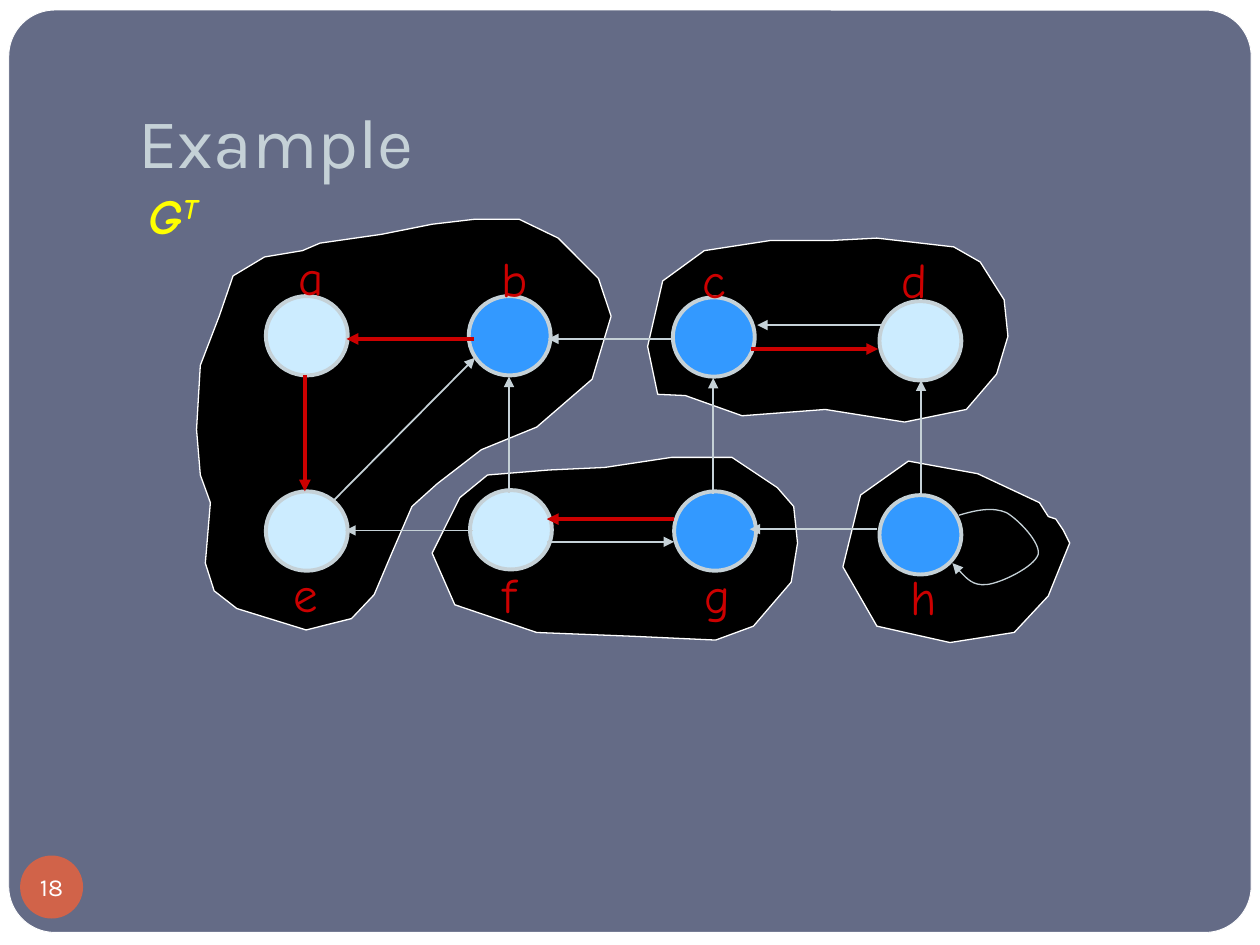
from pptx import Presentation
from pptx import util as u
from pptx.dml.color import RGBColor
from pptx.enum import shapes, text
from pptx.oxml.ns import qn
from lxml import etree

WHITE = RGBColor(0xFF, 0xFF, 0xFF)
BLACK = RGBColor(0, 0, 0)
SLATE = RGBColor(0x64, 0x6B, 0x86)
MIST = RGBColor(0xC5, 0xD1, 0xD7)
RED = RGBColor(0xCC, 0, 0)
PALE = RGBColor(0xCC, 0xEC, 0xFF)
BLUE = RGBColor(0x33, 0x99, 0xFF)
YELLOW = RGBColor(0xFF, 0xFF, 0)
ORANGE = RGBColor(0xD1, 0x63, 0x49)

COLUMNS, ROWS = 100, 75
NODE_SIZE = (6.5, 6.3)

COMPONENTS = {
    "h": [(77.6, 37.6), (72.1, 36.6), (68.3, 39.3), (66.9, 45), (69.6, 49.7),
          (75.4, 51), (80.5, 50.2), (83.2, 47.3), (84.9, 43.1), (84.4, 42.1),
          (83.8, 41.2), (83.2, 41), (82.5, 39.9)],
    "fg": [(48, 37.1), (43.6, 37.3), (38.7, 37.7), (36.5, 39.5), (34.3, 43.9),
           (36.1, 48), (42.6, 50.2), (50.2, 50.5), (56.8, 50.8), (59.8, 49.7),
           (62.8, 46.2), (63.3, 43.1), (63, 40.2), (61.7, 38.7), (58.1, 36.3),
           (53.3, 36.3)],
    "cd": [(69.6, 18.9), (65.8, 19.1), (61.1, 19.1), (55.9, 19.9), (52.6, 22.3),
           (51.4, 27.5), (52.2, 31.3), (54.4, 31.4), (58.9, 33), (65.5, 32.5),
           (71.8, 33.5), (76.7, 32.5), (79.1, 29.7), (80, 26.7), (79.7, 23.8),
           (77.8, 20.8), (75.7, 19.6)],
    "abe": [(21, 20.4), (18.5, 21.9), (17.4, 25.1), (15.9, 29), (15.6, 34.1),
            (15.9, 37.7), (16.7, 39.9), (16.3, 44.7), (17, 46.9), (18.8, 48.3),
            (24.3, 50), (27.9, 49.1), (29.7, 47.2), (31.1, 43.9), (32.7, 40.2),
            (34.7, 38.4), (38.2, 35.7), (42.6, 33.9), (47, 30.1), (48.5, 25.1),
            (47.5, 22.1), (44.3, 18.9), (41.2, 17.4), (37.7, 17.4), (34.3, 17.8),
            (30.3, 18.6), (25.4, 19.3), (24, 19.9)],
}
NODES = {
    "a": ((21.1, 23.5), PALE, (22.7, 19.1, 4, 5.7)),
    "b": ((37.2, 23.5), BLUE, (38.8, 19.2, 4.1, 5.7)),
    "c": ((53.4, 23.6), BLUE, (54.8, 19.3, 3.8, 5.7)),
    "d": ((69.8, 23.9), PALE, (70.6, 19.3, 4, 5.7)),
    "e": ((21.1, 39), PALE, (22.3, 44.2, 3.9, 5.7)),
    "f": ((37.3, 38.9), PALE, (38.9, 44.3, 3.1, 5.7)),
    "g": ((53.5, 39), BLUE, (54.9, 44.3, 4, 5.7)),
    "h": ((69.8, 39.3), BLUE, (71.3, 44.5, 4.1, 5.7)),
}
TREE_EDGES = {
    "a-e": ((24.2, 29.8), (24.2, 39)),
    "b-a": ((37.6, 26.9), (27.5, 26.9)),
    "g-f": ((53.5, 41.2), (43.4, 41.2)),
    "c-d": ((59.6, 27.7), (69.7, 27.7)),
}
OTHER_EDGES = {
    "f-e": ((37.5, 42.1), (27.4, 42.1)),
    "f-b": ((40.4, 39.1), (40.4, 29.9)),
    "g-c": ((56.6, 39.2), (56.6, 30)),
    "e-b": ((26.5, 39.7), (37.7, 28.4)),
    "c-b": ((53.6, 26.9), (43.5, 26.9)),
    "f-g": ((43.4, 43), (53.5, 43)),
    "h-g": ((69.6, 42), (59.5, 42)),
    "h-d": ((73.1, 39.4), (73.1, 30.2)),
    "d-c": ((70.2, 25.8), (60.1, 25.8)),
}
SELF_LOOP = [(75.6, 44.7), (76.4, 45.6), (77.2, 46.5), (78.3, 46.4), (79.4, 46.3),
             (82.1, 45), (82.4, 44), (82.6, 43.1), (80.9, 41.3), (79.9, 40.7),
             (78.8, 40.2), (77.4, 40.5), (76.1, 40.9)]


def write(paragraph, wording, face="Comic Neue", size=28, color=RED, bold=False,
          italic=False, baseline=0):
    """Append one formatted run to a paragraph."""
    run = paragraph.add_run()
    run.text = wording
    run.font.name, run.font.size = face, u.Pt(size)
    run.font.color.rgb = color
    run.font.bold, run.font.italic = bold, italic
    if baseline:
        run.font._element.set("baseline", str(baseline * 1000))


class GraphSlide:
    """Hold the slide, its grid and its style."""

    def __init__(self, deck):
        """Add a title-only slide with the base colour."""
        self.slide = deck.slides.add_slide(deck.slide_layouts[5])
        self.canvas = self.slide.shapes
        self.column = deck.slide_width / COLUMNS
        self.row = deck.slide_height / ROWS
        self.slide.background.fill.solid()
        self.slide.background.fill.fore_color.rgb = SLATE

    def grid(self, *lengths):
        """Turn alternating columns and rows into slide lengths."""
        units = (self.column, self.row)
        return [u.Emu(round(n * units[i % 2])) for i, n in enumerate(lengths)]

    def paint(self, figure, fill, line=None, width=1):
        """Set the fill, outline and shadow of a shape."""
        figure.shadow.inherit = False
        if fill is None:
            figure.fill.background()
        else:
            figure.fill.solid()
            figure.fill.fore_color.rgb = fill
        if line is None:
            figure.line.fill.background()
        else:
            figure.line.color.rgb = line
            figure.line.width = u.Pt(width)
        return figure

    def shape(self, kind, place, fill, line=None, width=1):
        """Add a painted preset shape."""
        return self.paint(self.canvas.add_shape(kind, *self.grid(*place)),
                          fill, line, width)

    def frame(self, holder, margins, anchor):
        """Set the inner margins and anchor and return the first paragraph."""
        box = holder.text_frame
        (box.margin_left, box.margin_top,
         box.margin_right, box.margin_bottom) = map(u.Inches, margins)
        box.vertical_anchor = anchor
        return box.paragraphs[0]

    def title(self, wording, place):
        """Place the title above the panel."""
        heading = self.canvas.title
        self.canvas._spTree.append(heading._element)
        heading.left, heading.top, heading.width, heading.height = self.grid(*place)
        line = self.frame(heading, (0.1, 0.05, 0.1, 0.1), text.MSO_ANCHOR.BOTTOM)
        line.alignment = text.PP_ALIGN.LEFT
        write(line, wording, face="Karla", size=40, color=MIST)

    def label(self, place):
        """Add an unwrapped text box and return its paragraph."""
        box = self.canvas.add_textbox(*self.grid(*place))
        box.text_frame.word_wrap = False
        box.text_frame.auto_size = text.MSO_AUTO_SIZE.SHAPE_TO_FIT_TEXT
        return self.frame(box, (0.1, 0.05, 0.1, 0.05), text.MSO_ANCHOR.TOP)

    def outline(self, points, fill, line, closed=True):
        """Add a freeform through the points."""
        start, *rest = [self.grid(*point) for point in points]
        builder = self.canvas.build_freeform(*start)
        builder.add_line_segments(rest, close=closed)
        return self.paint(builder.convert_to_shape(), fill, line, 0.75)

    def loop(self, controls):
        """Draw a Bezier edge whose arrow is at its first point."""
        edge = self.outline(controls, None, MIST, closed=False)
        route = edge._element.find(".//" + qn("a:path"))
        steps = route.findall(qn("a:lnTo"))
        for first in range(0, len(steps), 3):
            curve = etree.SubElement(route, qn("a:cubicBezTo"))
            for step in steps[first:first + 3]:
                curve.append(step[0])
                route.remove(step)
        self.arrowhead(edge, "a:headEnd")

    def arrowhead(self, edge, end):
        """Put a triangle at one end of a line."""
        etree.SubElement(edge.line._get_or_add_ln(), qn(end), type="triangle")

    def edge(self, source, target, color, width):
        """Add a straight directed edge."""
        line = self.canvas.add_connector(shapes.MSO_CONNECTOR.STRAIGHT,
                                         *self.grid(*source, *target))
        line.line.color.rgb, line.line.width = color, u.Pt(width)
        self.arrowhead(line, "a:tailEnd")
        etree.SubElement(line._element.spPr, qn("a:effectLst"))

    def node(self, name, corner, fill, label_place):
        """Add a graph node and its letter."""
        self.shape(shapes.MSO_SHAPE.OVAL, (*corner, *NODE_SIZE), fill, MIST, 2.25)
        write(self.label(label_place), name)

    def page_number(self, number, place):
        """Add the round page number."""
        badge = self.shape(shapes.MSO_SHAPE.OVAL, place, ORANGE)
        badge.text_frame.word_wrap = False
        line = self.frame(badge, (0, 0, 0, 0), text.MSO_ANCHOR.MIDDLE)
        line.alignment = text.PP_ALIGN.CENTER
        write(line, number, face="Karla", size=14, color=WHITE)


def main():
    """Build and save the slide."""
    deck = Presentation()
    deck.slide_width, deck.slide_height = u.Inches(10), u.Inches(7.5)
    graph = GraphSlide(deck)
    graph.shape(shapes.MSO_SHAPE.RECTANGLE, (0, 0, COLUMNS, ROWS), WHITE)
    panel = graph.shape(shapes.MSO_SHAPE.ROUNDED_RECTANGLE, (0.7, 0.8, 98.6, 73.2),
                        SLATE, WHITE, 0.5)
    panel.adjustments[0] = 0.05
    for border in COMPONENTS.values():
        graph.outline(border, BLACK, WHITE)
    graph.title("Example", (10, 3, 85, 12.5))
    for name, (corner, fill, label_place) in NODES.items():
        graph.node(name, corner, fill, label_place)
    for edges, color, width in ((OTHER_EDGES, MIST, 1), (TREE_EDGES, RED, 2.25)):
        for source, target in edges.values():
            graph.edge(source, target, color, width)
    graph.loop(SELF_LOOP)
    graph_name = graph.label((10.8, 14.2, 5.9, 5.7))
    write(graph_name, "G", color=YELLOW, bold=True, italic=True)
    write(graph_name, "T", color=YELLOW, bold=True, italic=True, baseline=30)
    graph.page_number("18", (1.6, 67.9, 5, 5))
    deck.save("out.pptx")


if __name__ == "__main__":
    main()
